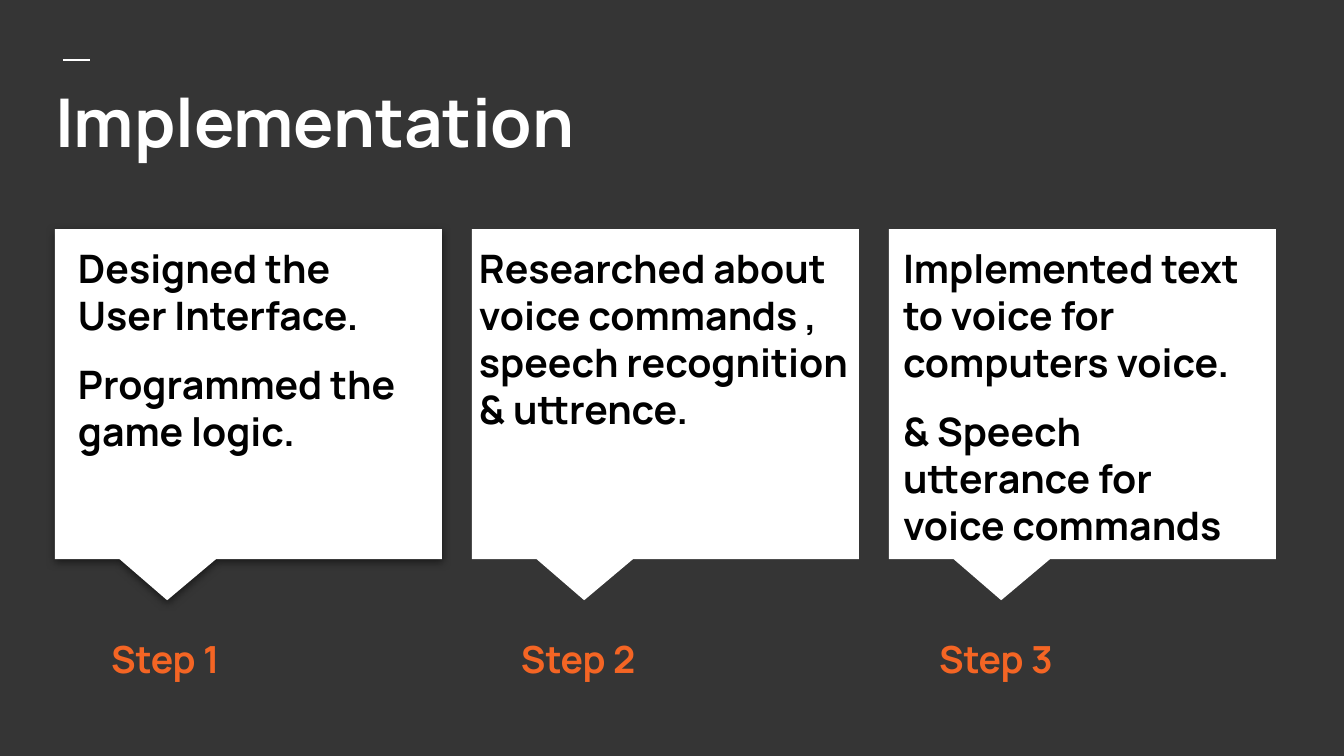
from lxml import etree
from pptx import Presentation
from pptx.dml.color import RGBColor
from pptx.enum import shapes, text
from pptx.oxml import parse_xml
from pptx.oxml.ns import nsdecls, qn
from pptx.util import Pt

TITLE = "Implementation"
# step label, its left; paragraphs, their left and width (px)
STEPS = [
    ("Step 1", 31, ["Designed the User Interface.", "Programmed the game logic."], 65, 364),
    ("Step 2", 441, ["Researched about voice commands , speech recognition & uttrence."], 466, 398),
    ("Step 3", 859, ["Implemented text to voice for computers voice.",
                     "& Speech utterance for voice commands"], 890, 364),
]

FONT = "Manrope"
DARK = RGBColor(0x35, 0x35, 0x35)
WHITE = RGBColor(0xFF, 0xFF, 0xFF)
BLACK = RGBColor(0, 0, 0)
ORANGE = RGBColor(0xF4, 0x65, 0x24)

SLIDE_W, SLIDE_H = 1344, 756
CARD_LEFT, CARD_TOP, CARD_W, CARD_H, CARD_PITCH = 55, 229, 387, 330, 417
BODY_TOP, BODY_H = 231, 294
LABEL_TOP, LABEL_W, LABEL_H = 616, 250, 73
INSET = 13
LABEL_INDENT = 67

SHADOW = f"""<a:effectLst {nsdecls('a')}>
  <a:outerShdw blurRad="{Pt(4.5)}" dist="{Pt(1.5)}" dir="5400000" algn="bl" rotWithShape="0">
    <a:srgbClr val="000000"><a:alpha val="50000"/></a:srgbClr>
  </a:outerShdw>
</a:effectLst>"""


def px(n):
    return round(n * 914400 / 134.4)


def set_up_frame(frame):
    frame.word_wrap = True
    frame.auto_size = text.MSO_AUTO_SIZE.NONE
    frame.vertical_anchor = text.MSO_ANCHOR.TOP
    frame.margin_left = frame.margin_right = px(INSET)
    frame.margin_top = frame.margin_bottom = px(INSET)


def add_words(paragraph, words, size, color):
    paragraph.alignment = text.PP_ALIGN.LEFT
    run = paragraph.add_run()
    run.text = words
    run.font.name = FONT
    run.font.size = Pt(size)
    run.font.bold = True
    run.font.color.rgb = color


def add_frame(slide, left, top, width, height):
    frame = slide.shapes.add_textbox(px(left), px(top), px(width), px(height)).text_frame
    set_up_frame(frame)
    return frame


def add_heading(slide):
    dash = slide.shapes.add_connector(
        shapes.MSO_CONNECTOR.STRAIGHT, px(63), px(60), px(90), px(60))
    dash.line.color.rgb = WHITE
    dash.line.width = Pt(1.5)
    etree.SubElement(dash._element.spPr, qn("a:effectLst"))

    title = slide.shapes.title
    title.left, title.top, title.width, title.height = px(42), px(67), px(1212), px(126)
    set_up_frame(title.text_frame)
    add_words(title.text_frame.paragraphs[0], TITLE, 36, WHITE)


def add_card(slide, index):
    card = slide.shapes.add_shape(
        shapes.MSO_SHAPE.RECTANGULAR_CALLOUT, px(CARD_LEFT + index * CARD_PITCH),
        px(CARD_TOP), px(CARD_W), px(CARD_H))
    card.adjustments[0], card.adjustments[1] = -0.21, 0.625
    card.fill.solid()
    card.fill.fore_color.rgb = WHITE
    card.line.fill.background()
    if index == 0:
        card._element.spPr.append(parse_xml(SHADOW))
    else:
        card.shadow.inherit = False


def add_body(slide, paragraphs, left, width):
    frame = add_frame(slide, left, BODY_TOP, width, BODY_H)
    for i, words in enumerate(paragraphs):
        paragraph = frame.add_paragraph() if i else frame.paragraphs[0]
        if i:
            paragraph.space_before = Pt(12)
        if i == len(paragraphs) - 1:
            paragraph.space_after = Pt(12)
        add_words(paragraph, words, 21, BLACK)


def add_label(slide, label, left):
    frame = add_frame(slide, left, LABEL_TOP, LABEL_W, LABEL_H)
    frame.auto_size = text.MSO_AUTO_SIZE.SHAPE_TO_FIT_TEXT
    paragraph = frame.paragraphs[0]
    add_words(paragraph, label, 20, ORANGE)
    paragraph.line_spacing = 1.15
    paragraph.space_after = Pt(10)
    properties = paragraph._p.get_or_add_pPr()
    properties.set("marL", str(px(LABEL_INDENT)))
    properties.set("indent", "0")


def main():
    deck = Presentation()
    deck.slide_width, deck.slide_height = px(SLIDE_W), px(SLIDE_H)
    slide = deck.slides.add_slide(deck.slide_layouts[5])
    slide.background.fill.solid()
    slide.background.fill.fore_color.rgb = DARK

    add_heading(slide)
    for index, (label, label_left, paragraphs, body_left, body_width) in enumerate(STEPS):
        add_card(slide, index)
        add_body(slide, paragraphs, body_left, body_width)
        add_label(slide, label, label_left)
    deck.save("out.pptx")


if __name__ == "__main__":
    main()
